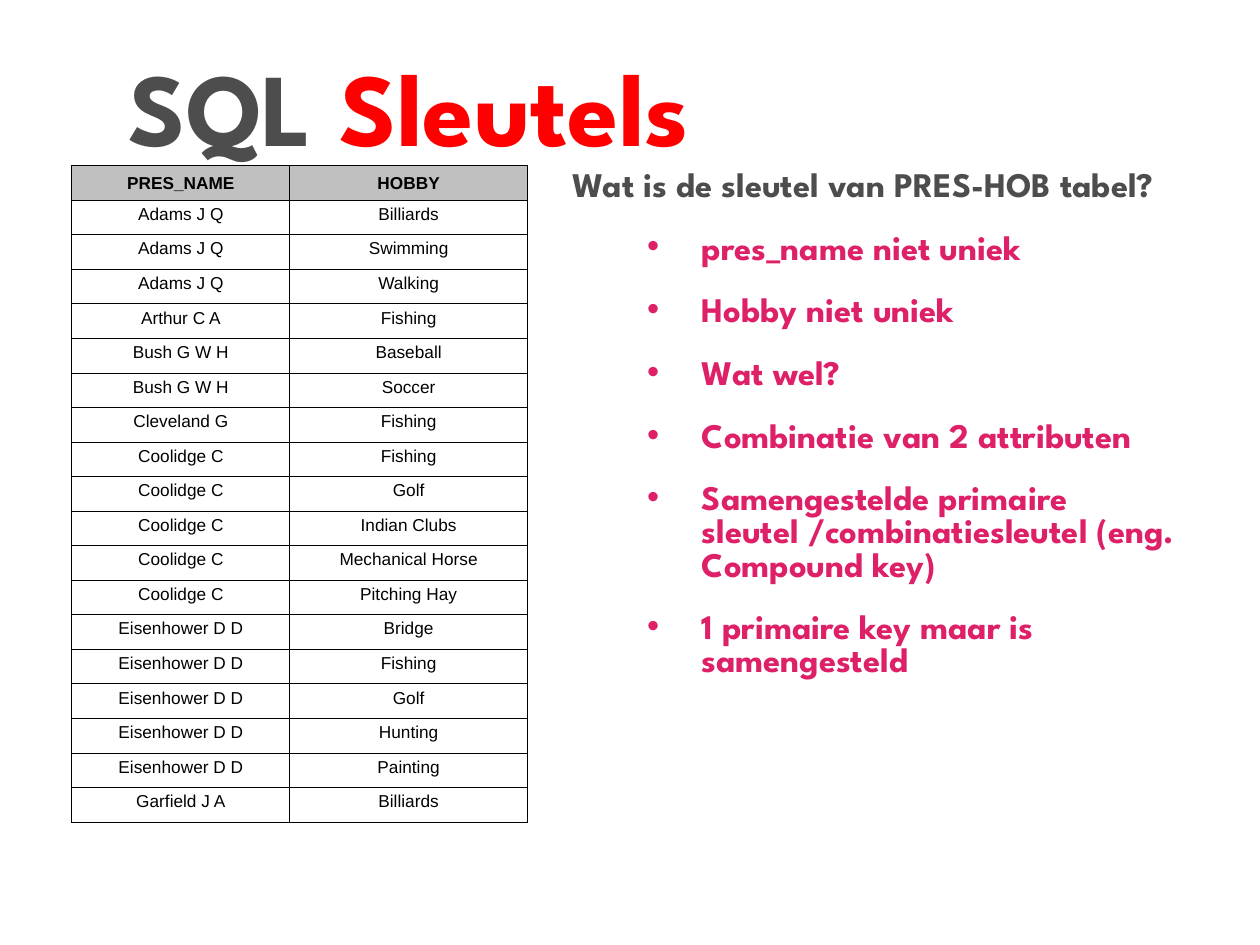
"""Builds the slide about the compound key of the PRES-HOB table."""
from dataclasses import dataclass

from lxml.etree import SubElement
from pptx import Presentation
from pptx.dml.color import RGBColor
from pptx.enum.text import MSO_ANCHOR, MSO_AUTO_SIZE, PP_ALIGN
from pptx.oxml.ns import qn
from pptx.util import Cm, Pt


@dataclass(frozen=True)
class Theme:
    """Colours, fonts and type sizes of the slide."""
    heading_font: str = "League Spartan"
    table_font: str = "Arial"
    grey: str = "4D4D4D"
    red: str = "FF0000"
    pink: str = "DD2067"
    black: str = "000000"
    white: str = "FFFFFF"
    header_fill: str = "C0C0C0"
    title_size: int = 84
    body_size: int = 28
    table_size: int = 14
    paragraph_gap: int = 24
    border_width: float = 0.96


THEME = Theme()

QUESTION = "Wat is de sleutel van PRES-HOB tabel?"
ANSWERS = (
    "pres_name niet uniek",
    "Hobby niet uniek",
    "Wat wel?",
    "Combinatie van 2 attributen",
    "Samengestelde primaire sleutel /combinatiesleutel (eng. Compound key)",
    "1 primaire key maar is samengesteld",
)
HEADER = ("PRES_NAME", "HOBBY")
HOBBIES = {
    "Adams J Q": ("Billiards", "Swimming", "Walking"),
    "Arthur C A": ("Fishing",),
    "Bush G W H": ("Baseball", "Soccer"),
    "Cleveland G": ("Fishing",),
    "Coolidge C": ("Fishing", "Golf", "Indian Clubs", "Mechanical Horse", "Pitching Hay"),
    "Eisenhower D D": ("Bridge", "Fishing", "Golf", "Hunting", "Painting"),
    "Garfield J A": ("Billiards",),
}
COLUMN_WIDTHS = (Cm(6.25), Cm(6.81))
ROW_HEIGHT = Cm(0.99)


def add_span(para, text, font, size, colour, bold=True):
    """Add one formatted run to a paragraph."""
    span = para.add_run()
    span.text = text
    span.font.name = font
    span.font.size = Pt(size)
    span.font.bold = bold
    span.font.color.rgb = RGBColor.from_string(colour)


def place_box(box, left, top, width, height, anchor):
    """Move a placeholder and set up its text frame."""
    box.left, box.top, box.width, box.height = left, top, width, height
    frame = box.text_frame
    frame.word_wrap = True
    frame.auto_size = MSO_AUTO_SIZE.NONE
    frame.vertical_anchor = anchor
    frame.margin_left = frame.margin_right = Cm(0.15)
    frame.margin_top = frame.margin_bottom = Cm(0.15)
    return frame


def set_bullet(para, colour=None, margin=0, indent=0):
    """Give a paragraph a coloured bullet, or none without a colour."""
    properties = para._p.get_or_add_pPr()
    properties.set("marL", str(int(margin)))
    properties.set("indent", str(int(indent)))
    if colour is None:
        SubElement(properties, qn("a:buNone"))
        return
    bullet_colour = SubElement(properties, qn("a:buClr"))
    SubElement(bullet_colour, qn("a:srgbClr"), val=colour)
    SubElement(properties, qn("a:buFont"), typeface=THEME.table_font)
    SubElement(properties, qn("a:buChar"), char="•")


def fill_title(box):
    """Write the two-coloured title."""
    frame = place_box(box, Cm(3.53), Cm(0.71), Cm(29.06), Cm(4.62), MSO_ANCHOR.MIDDLE)
    para = frame.paragraphs[0]
    para.alignment = PP_ALIGN.LEFT
    for text, colour in (("SQL ", THEME.grey), ("Sleutels", THEME.red)):
        add_span(para, text, THEME.heading_font, THEME.title_size, colour)


def fill_body(box):
    """Write the question and its bulleted answers."""
    frame = place_box(box, Cm(16.26), Cm(4.75), Cm(18.11), Cm(18.59), MSO_ANCHOR.TOP)
    question = frame.paragraphs[0]
    set_bullet(question)
    question.line_spacing = 0.8
    question.space_before = Pt(0)
    add_span(question, QUESTION, THEME.heading_font, THEME.body_size, THEME.grey)
    for text in ANSWERS:
        answer = frame.add_paragraph()
        answer.level = 1
        set_bullet(answer, THEME.pink, Cm(3.71), Cm(-1.57))
        answer.line_spacing = 0.8
        answer.space_before = Pt(THEME.paragraph_gap)
        add_span(answer, text, THEME.heading_font, THEME.body_size, THEME.pink)


def set_borders(cell):
    """Draw a thin line on all four sides of a cell."""
    properties = cell._tc.get_or_add_tcPr()
    for position, side in enumerate(("a:lnL", "a:lnR", "a:lnT", "a:lnB")):
        line = properties.makeelement(qn(side), {"w": str(int(Pt(THEME.border_width)))})
        properties.insert(position, line)
        SubElement(SubElement(line, qn("a:solidFill")), qn("a:srgbClr"), val=THEME.black)


def fill_cell(cell, text, is_header):
    """Write and format one table cell."""
    cell.fill.solid()
    cell.fill.fore_color.rgb = RGBColor.from_string(
        THEME.header_fill if is_header else THEME.white)
    cell.vertical_anchor = MSO_ANCHOR.MIDDLE if is_header else MSO_ANCHOR.TOP
    set_borders(cell)
    para = cell.text_frame.paragraphs[0]
    para.alignment = PP_ALIGN.CENTER
    add_span(para, text, THEME.table_font, THEME.table_size, THEME.black, is_header)


def add_hobby_table(page):
    """Add the table with one row for each president and hobby."""
    rows = [HEADER] + [(name, hobby) for name, hobbies in HOBBIES.items() for hobby in hobbies]
    table = page.shapes.add_table(
        len(rows), len(HEADER), Cm(2.06), Cm(4.75),
        sum(COLUMN_WIDTHS), ROW_HEIGHT * len(rows)).table
    table.horz_banding = False
    for column, width in zip(table.columns, COLUMN_WIDTHS):
        column.width = width
    for row_number, values in enumerate(rows):
        table.rows[row_number].height = ROW_HEIGHT
        for column_number, text in enumerate(values):
            fill_cell(table.cell(row_number, column_number), text, row_number == 0)


def main():
    """Build and save the deck."""
    deck = Presentation()
    deck.slide_width, deck.slide_height = Cm(36.12), Cm(27.08)
    page = deck.slides.add_slide(deck.slide_layouts[1])
    fill_title(page.shapes.title)
    fill_body(page.placeholders[1])
    add_hobby_table(page)
    deck.save("out.pptx")


if __name__ == "__main__":
    main()
